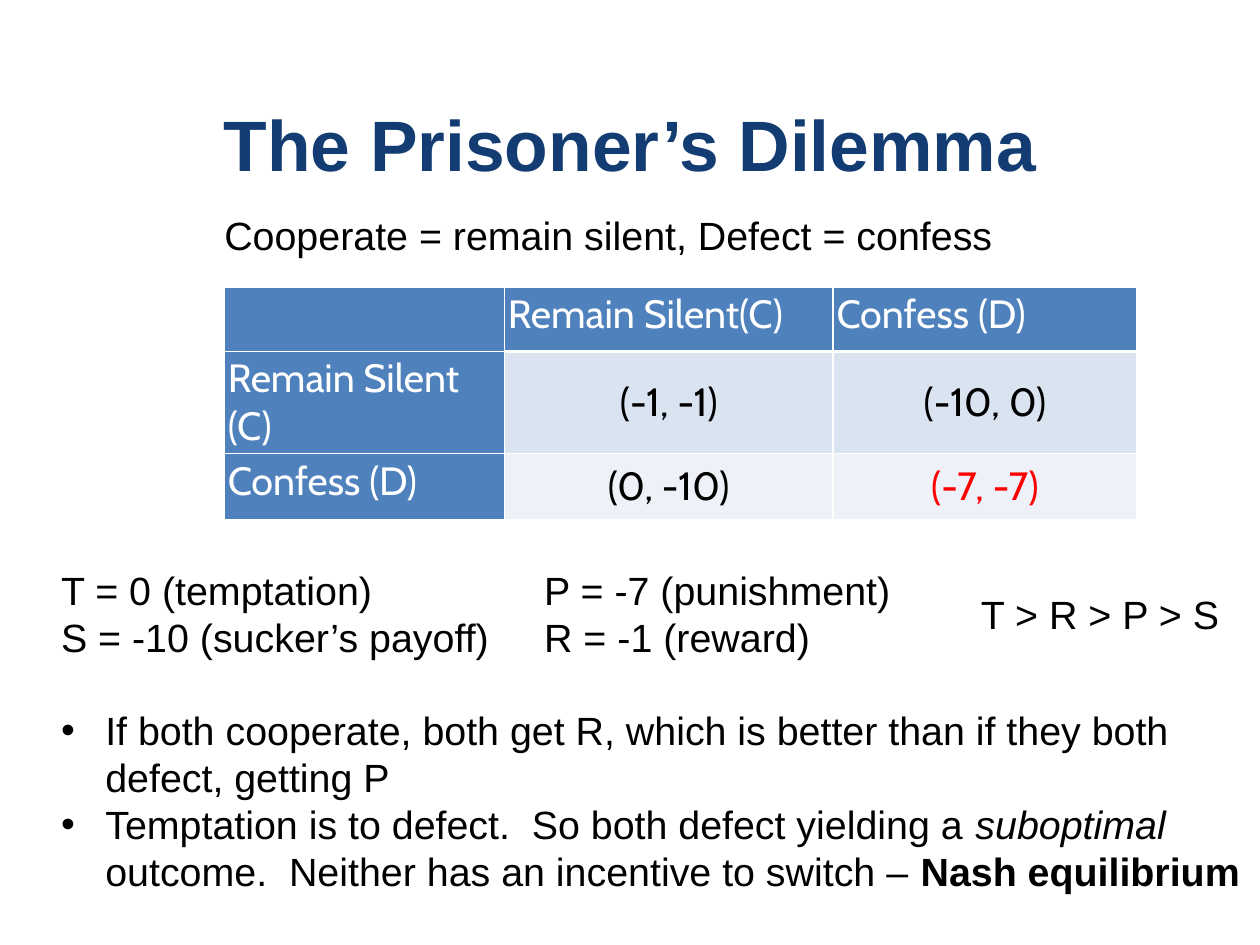
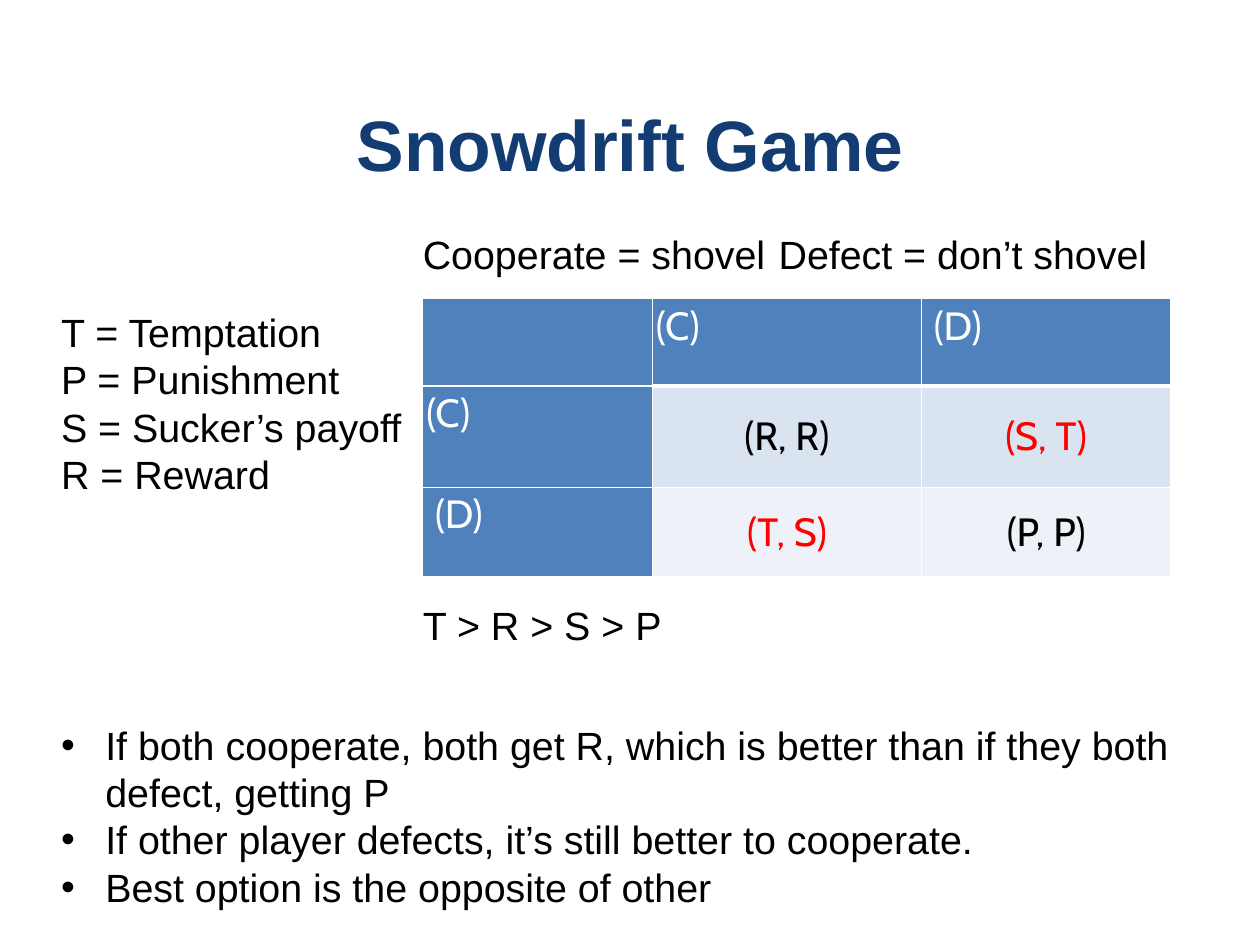
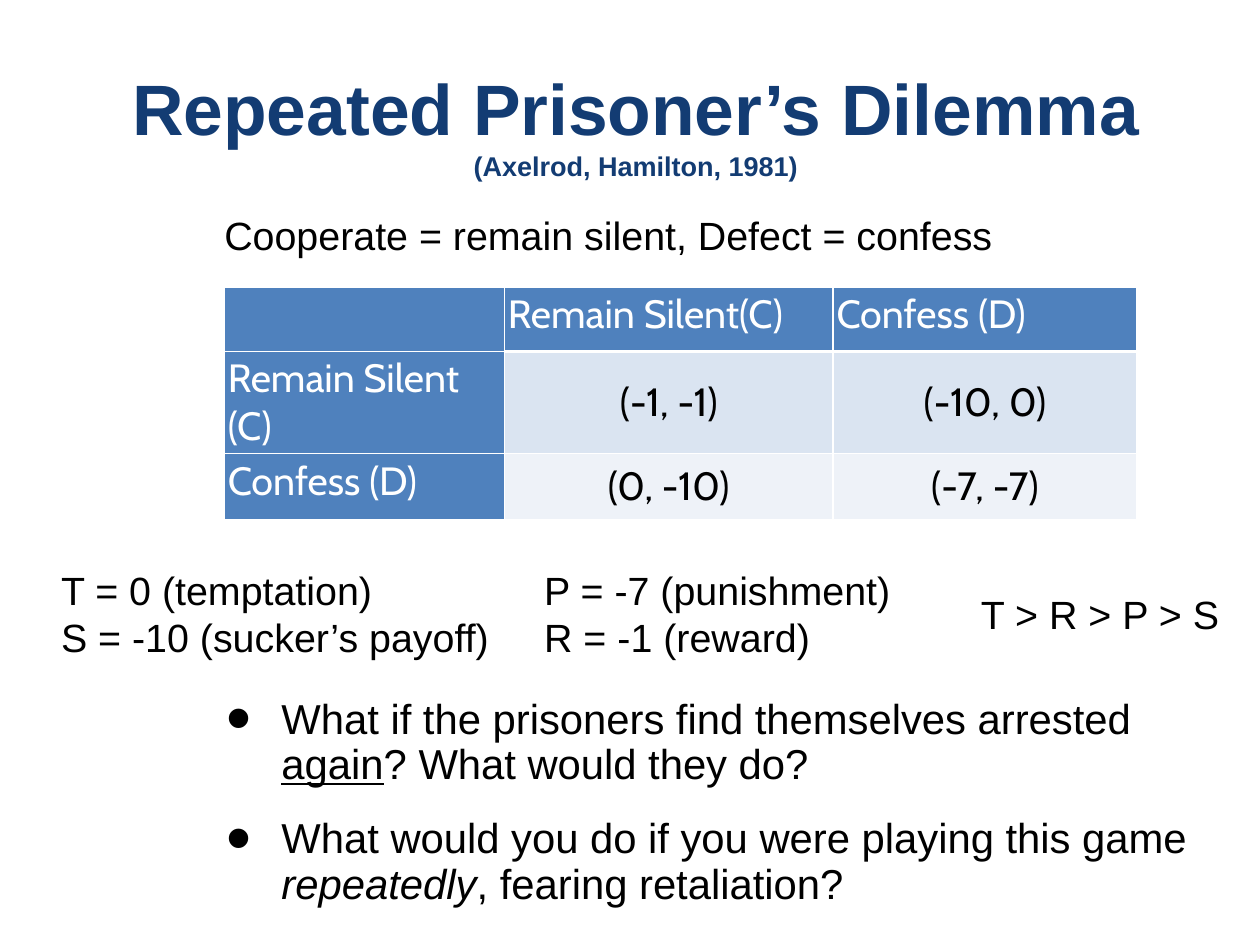
import dataclasses

import lxml.etree
import pptx
import pptx.dml.color
import pptx.enum.text
import pptx.oxml.ns
import pptx.util

Cm = pptx.util.Cm
Pt = pptx.util.Pt
ANCHOR = pptx.enum.text.MSO_ANCHOR
ALIGN = pptx.enum.text.PP_ALIGN


@dataclasses.dataclass(frozen=True)
class Theme:
    text_font: str = "Arial"
    table_font: str = "Cabin"
    navy: str = "133C73"
    black: str = "000000"
    white: str = "FFFFFF"
    red: str = "FF0000"
    header_fill: str = "4F81BD"
    row_fills: tuple = ("DAE4F1", "EEF2F8")
    title_size: int = 58
    citation_size: int = 22
    question_size: int = 34
    body_size: int = 32


@dataclasses.dataclass(frozen=True)
class Box:
    left: float
    top: float
    width: float
    height: float

    def lengths(self):
        return [Cm(v) for v in (self.left, self.top, self.width, self.height)]


THEME = Theme()
SLIDE_WIDTH, SLIDE_HEIGHT = 36.12, 27.1
MARGIN = 1.75
LINE = 1.36
COLUMN_SHARES = (0.307, 0.36, 0.333)
PRISONER_LEFT, SNOWDRIFT_LEFT = 6.43, 12.12

BOTH_COOPERATE = [("If both cooperate, both get R, which is better than if they both defect, getting P", "")]


def rgb(value):
    return pptx.dml.color.RGBColor.from_string(value)


def add_element(parent, tag, **attributes):
    el = lxml.etree.SubElement(parent, pptx.oxml.ns.qn(tag))
    for name, value in attributes.items():
        el.set(name, str(value))
    return el


def add_run(p, text, size, color=THEME.black, font=THEME.text_font, style=""):
    r = p.add_run()
    r.text = text
    r.font.name = font
    r.font.size = Pt(size)
    r.font.color.rgb = rgb(color)
    r.font.bold = "b" in style
    r.font.italic = "i" in style
    r.font.underline = "u" in style


def add_text_frame(slide, box, anchor=ANCHOR.TOP, inset=0):
    tf = slide.shapes.add_textbox(*box.lengths()).text_frame
    tf.word_wrap = True
    tf.vertical_anchor = anchor
    tf.margin_left = tf.margin_right = tf.margin_top = tf.margin_bottom = Cm(inset)
    return tf


def paragraphs(tf, items):
    for i, item in enumerate(items):
        yield (tf.add_paragraph() if i else tf.paragraphs[0]), item


def add_title(slide, box, title, citation=None):
    lines = [(title, THEME.title_size)]
    if citation:
        lines.append((citation, THEME.citation_size))
    tf = add_text_frame(slide, box, ANCHOR.MIDDLE, 0.15)
    for p, (text, size) in paragraphs(tf, lines):
        p.alignment = ALIGN.CENTER
        add_run(p, text, size, THEME.navy, style="b")


def add_lines(slide, box, lines, tab=None):
    tf = add_text_frame(slide, box)
    for p, text in paragraphs(tf, lines):
        if tab:
            tabs = add_element(p._p.get_or_add_pPr(), "a:tabLst")
            add_element(tabs, "a:tab", pos=Cm(tab), algn="l")
        add_run(p, text, THEME.body_size)


def add_bullets(slide, box, items, size=THEME.body_size, margin=1.27, hang=1.27,
                bullet_percent=100, spacing=1.0, gap=0, anchor=ANCHOR.TOP, inset=0):
    tf = add_text_frame(slide, box, anchor, inset)
    for i, (p, runs) in enumerate(paragraphs(tf, items)):
        pPr = p._p.get_or_add_pPr()
        pPr.set("marL", str(Cm(margin)))
        pPr.set("indent", str(-Cm(hang)))
        add_element(pPr, "a:buSzPct", val=bullet_percent * 1000)
        add_element(pPr, "a:buFont", typeface=THEME.text_font)
        add_element(pPr, "a:buChar", char="•")
        p.line_spacing = spacing
        if i:
            p.space_before = Pt(gap)
        for text, style in runs:
            add_run(p, text, size, style=style)


def add_borders(cell, row, col):
    tcPr = cell._tc.get_or_add_tcPr()
    for side in "LRTB":
        thick = col > 0 and (row, side) in ((0, "B"), (1, "T"))
        ln = add_element(tcPr, "a:ln" + side, w=Pt(3 if thick else 1))
        add_element(add_element(ln, "a:solidFill"), "a:srgbClr", val=THEME.white)


def add_payoff_table(slide, box, row_heights, moves, payoffs, equilibria=()):
    rows = [["", *moves[0]]] + [[move, *row] for move, row in zip(moves[1], payoffs)]
    table = slide.shapes.add_table(3, 3, *box.lengths()).table
    table.first_row = table.horz_banding = False
    for column, share in zip(table.columns, COLUMN_SHARES):
        column.width = Cm(round(box.width * share, 2))
    for i, (height, texts) in enumerate(zip(row_heights, rows)):
        table.rows[i].height = Cm(height)
        for j, text in enumerate(texts):
            cell = table.cell(i, j)
            header = i == 0 or j == 0
            add_borders(cell, i, j)
            cell.fill.solid()
            cell.fill.fore_color.rgb = rgb(THEME.header_fill if header else THEME.row_fills[i - 1])
            cell.margin_left = cell.margin_right = cell.margin_top = cell.margin_bottom = Cm(0.1)
            cell.vertical_anchor = ANCHOR.TOP if header else ANCHOR.MIDDLE
            p = cell.text_frame.paragraphs[0]
            p.alignment = ALIGN.LEFT if header else ALIGN.CENTER
            if header:
                color = THEME.white
            else:
                color = THEME.red if (i, j) in equilibria else THEME.black
            if text:
                add_run(p, text, THEME.body_size, color, THEME.table_font)


def add_prisoner_game(slide, equilibria=()):
    add_lines(slide, Box(PRISONER_LEFT, 6.05, 26.6, LINE),
              ["Cooperate = remain silent, Defect = confess"])
    add_payoff_table(slide, Box(PRISONER_LEFT, 8.23, 26.16, 6.68), (1.84, 2.94, 1.9),
                     (("Remain Silent(C)", "Confess (D)"), ("Remain Silent (C)", "Confess (D)")),
                     (("(-1, -1)", "(-10, 0)"), ("(0, -10)", "(-7, -7)")), equilibria)
    add_lines(slide, Box(MARGIN, 16.23, 26, 2 * LINE),
              ["T = 0 (temptation)\tP = -7 (punishment)",
               "S = -10 (sucker’s payoff)\tR = -1 (reward)"], tab=13.85)
    add_lines(slide, Box(28.12, 16.92, 8, LINE), ["T > R > P > S"])


def build_prisoner(slide):
    add_title(slide, Box(3.53, 0.71, 29.06, 6.78), "The Prisoner’s Dilemma")
    add_prisoner_game(slide, {(2, 2)})
    add_bullets(slide, Box(MARGIN, 20.24, 34.3, 4 * LINE), [
        BOTH_COOPERATE,
        [("Temptation is to defect.  So both defect yielding a ", ""), ("suboptimal", "i"),
         (" outcome.  Neither has an incentive to switch – ", ""), ("Nash equilibrium", "b")],
    ])


def build_snowdrift(slide):
    add_title(slide, Box(3.53, 0.71, 29.06, 6.78), "Snowdrift Game")
    add_lines(slide, Box(SNOWDRIFT_LEFT, 6.6, 24, LINE),
              ["Cooperate = shovel\tDefect = don’t shovel"], tab=10.2)
    add_lines(slide, Box(MARGIN, 8.84, 10.36, 4 * LINE),
              ["T = Temptation", "P = Punishment", "S = Sucker’s payoff", "R = Reward"])
    moves = ("(C)", " (D)")
    add_payoff_table(slide, Box(SNOWDRIFT_LEFT, 8.56, 21.44, 7.98), (2.51, 2.9, 2.57),
                     (moves, moves), (("(R, R)", "(S, T)"), ("(T, S)", "(P, P)")),
                     {(1, 2), (2, 1)})
    add_lines(slide, Box(SNOWDRIFT_LEFT, 17.25, 8.9, LINE), ["T > R > S > P"])
    add_bullets(slide, Box(MARGIN, 20.68, 32.36, 4 * LINE), [
        BOTH_COOPERATE,
        [("If other player defects, it’s still better to cooperate.", "")],
        [("Best option is the opposite of other", "")],
    ])


def build_repeated(slide):
    add_title(slide, Box(1.93, 0.13, 32.59, 6.78), "Repeated Prisoner’s Dilemma",
              "(Axelrod, Hamilton, 1981)")
    add_prisoner_game(slide)
    add_bullets(slide, Box(5.46, 19.03, 29.06, 8), [
        [("What if the prisoners find themselves arrested ", ""), ("again", "u"),
         ("? What would they do?", "")],
        [("What would you do if you were playing this game ", ""), ("repeatedly", "i"),
         (", fearing retaliation?", "")],
    ], size=THEME.question_size, margin=2.46, hang=1.57, bullet_percent=171,
        spacing=0.9, gap=24, anchor=ANCHOR.MIDDLE, inset=0.15)


def main():
    prs = pptx.Presentation()
    prs.slide_width, prs.slide_height = Cm(SLIDE_WIDTH), Cm(SLIDE_HEIGHT)
    for build in (build_prisoner, build_snowdrift, build_repeated):
        build(prs.slides.add_slide(prs.slide_layouts[6]))
    prs.save("out.pptx")


if __name__ == "__main__":
    main()
